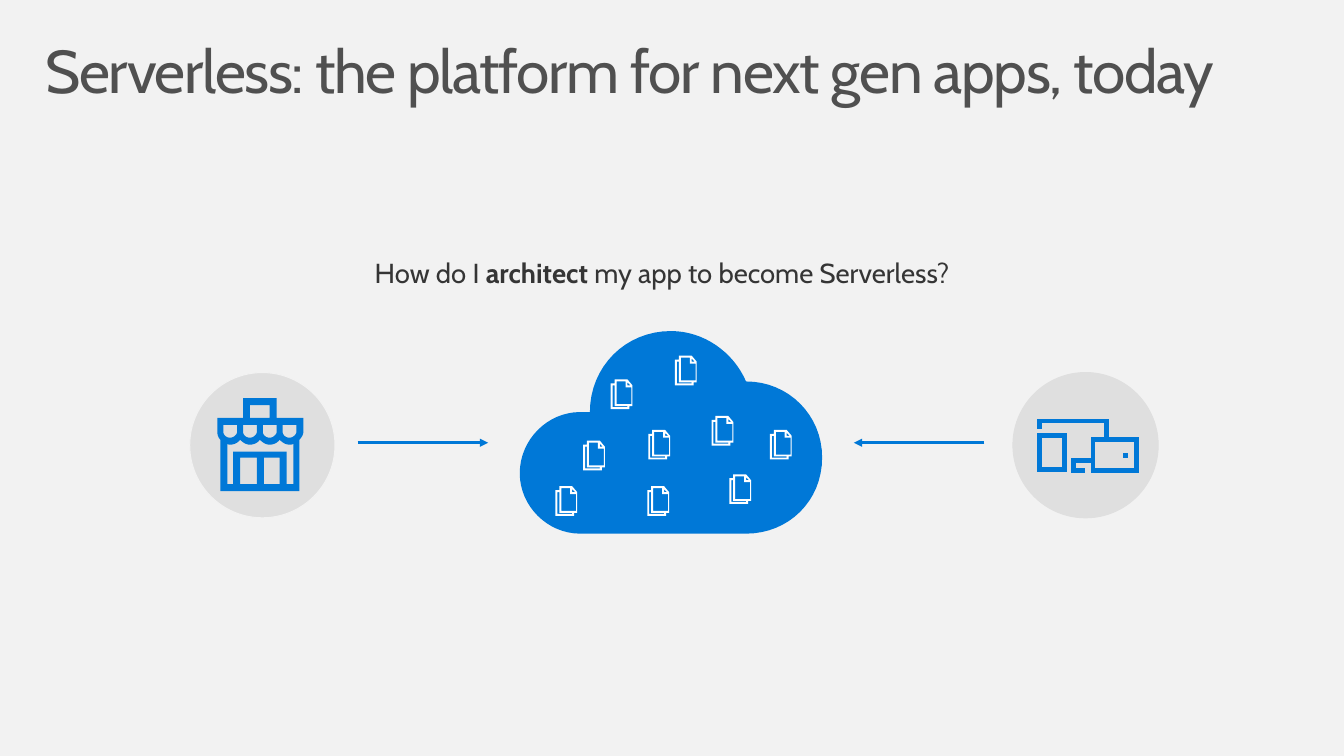
from lxml import etree
from pptx import Presentation
from pptx import util as u
from pptx.dml.color import RGBColor
from pptx.enum import shapes, text
from pptx.oxml.ns import qn

BLUE, WHITE, PAPER, DISC = "0078D7", "FFFFFF", "F2F2F2", "DFDFDF"
FONT = "Cabin"
TITLE = "Serverless: the platform for next gen apps, today"
QUESTION = [("How do I ", False), ("architect", True), (" my app to become Serverless?", False)]

# Contours: a pair is a corner, six numbers are a cubic curve (two handles, end).
CLOUD = [[(5.97, 4.17), (5.97, 3.71, 6.33, 3.35, 6.79, 3.35), (7.12, 3.35, 7.42, 3.56, 7.55, 3.86),
          (7.98, 3.86, 8.32, 4.2, 8.32, 4.63), (8.32, 5.07, 7.98, 5.4, 7.55, 5.4), (5.87, 5.4),
          (5.54, 5.4, 5.26, 5.12, 5.26, 4.79), (5.26, 4.45, 5.54, 4.17, 5.87, 4.17)]]

DOCUMENT = [
    [(.22, .27), (.22, .06), (.17, 0), (.04, 0), (.04, .04), (0, .04), (0, .3), (.19, .3), (.19, .27)],
    [(.17, .03), (.2, .06), (.17, .06)],
    [(.17, .28), (.02, .28), (.02, .06), (.04, .06), (.04, .27), (.17, .27)],
    [(.06, .25), (.06, .02), (.15, .02), (.15, .08), (.21, .08), (.21, .25)],
]
DOCUMENT_SPOTS = [(6.18, 3.84), (6.83, 3.6), (5.9, 4.46), (6.56, 4.35), (7.2, 4.21),
                  (5.62, 4.92), (6.55, 4.92), (7.38, 4.8), (7.79, 4.35)]

SHOP_OUTLINE = [(2.23, 4.97), (3.03, 4.97), (3.03, 4.45), (3.05, 4.43, 3.07, 4.4, 3.07, 4.37),
                (3.07, 4.23), (2.8, 4.23), (2.8, 4.03), (2.46, 4.03), (2.46, 4.23), (2.2, 4.23),
                (2.2, 4.37), (2.2, 4.4, 2.21, 4.43, 2.23, 4.45)]
SHOP_WALL = [(2.9, 4.9), (2.9, 4.57), (2.36, 4.57), (2.36, 4.9), (2.3, 4.9), (2.3, 4.49),
             (2.31, 4.5, 2.32, 4.5, 2.33, 4.5), (2.37, 4.5, 2.41, 4.48, 2.43, 4.45),
             (2.46, 4.48, 2.49, 4.5, 2.53, 4.5), (2.57, 4.5, 2.61, 4.48, 2.63, 4.45),
             (2.66, 4.48, 2.69, 4.5, 2.73, 4.5), (2.77, 4.5, 2.81, 4.48, 2.83, 4.45),
             (2.86, 4.48, 2.89, 4.5, 2.93, 4.5), (2.94, 4.5, 2.96, 4.5, 2.97, 4.49), (2.97, 4.9)]
SHOP_PANES = [(2.43, 4.63, .17, .27), (2.67, 4.63, .16, .27), (2.53, 4.1, .2, .13)]
SCALLOP = [(0, 0), (.14, 0), (.14, .07), (.14, .1, .1, .13, .07, .13), (.03, .13, 0, .1, 0, .07)]

DISCS = [(1.92, 3.77, PAPER), (10.25, 3.77, DISC)]
SCREENS = [(10.52, 4.41, .25, .34), (11.06, 4.45, .44, .31)]
SCREEN_EDGES = [[(11.06, 4.66), (10.86, 4.66), (10.86, 4.76), (10.98, 4.76)],
                [(10.52, 4.34), (10.52, 4.26), (11.2, 4.26), (11.2, 4.45)]]
ARROWS = [(3.62, 4.94), (9.96, 8.64)]
ARROW_Y = 4.48


def color(value):
    return RGBColor.from_string(value)


def inches(values):
    return [u.Inches(value) for value in values]


def shifted(contour, left, top):
    return [tuple(value + (top if i % 2 else left) for i, value in enumerate(step))
            for step in contour]


def flattened(contour, steps=16):
    """Turn the curves of a contour into short straight segments, in EMU."""
    points = []
    for step in contour:
        if len(step) == 2:
            points.append(step)
            continue
        handles = [points[-1], step[:2], step[2:4], step[4:]]
        for n in range(1, steps + 1):
            t = n / steps
            weights = ((1 - t) ** 3, 3 * t * (1 - t) ** 2, 3 * t * t * (1 - t), t ** 3)
            points.append(tuple(sum(w * h[axis] for w, h in zip(weights, handles))
                                for axis in (0, 1)))
    return [tuple(inches(point)) for point in points]


def paint(shape, fill=None, line=None, width=1):
    shape.shadow.inherit = False
    if fill:
        shape.fill.solid()
        shape.fill.fore_color.rgb = color(fill)
    else:
        shape.fill.background()
    if line:
        stroke(shape, line, width)
    else:
        shape.line.fill.background()


def stroke(shape, line, width):
    shape.line.color.rgb = color(line)
    shape.line.width = u.Pt(width)
    etree.SubElement(shape.line._get_or_add_ln(), qn("a:miter"), lim="800000")


def add_outline(page, contours, closed=True, **look):
    builder = None
    for contour in contours:
        start, *rest = flattened(contour)
        if builder is None:
            builder = page.shapes.build_freeform(*start)
        else:
            builder.move_to(*start)
        builder.add_line_segments(rest, close=closed)
    paint(builder.convert_to_shape(), **look)


def add_preset(page, kind, bounds, **look):
    paint(page.shapes.add_shape(kind, *inches(bounds)), **look)


def add_line(page, ends, width, arrow=False):
    line = page.shapes.add_connector(shapes.MSO_CONNECTOR.STRAIGHT, *inches(ends))
    stroke(line, BLUE, width)
    if arrow:
        etree.SubElement(line.line._get_or_add_ln(), qn("a:tailEnd"), type="triangle")
    etree.SubElement(line._element.spPr, qn("a:effectLst"))


def add_span(para, words, size, ink, bold=False):
    span = para.add_run()
    span.text = words
    for name, value in {"name": FONT, "size": u.Pt(size), "bold": bold}.items():
        setattr(span.font, name, value)
    span.font.color.rgb = color(ink)
    return span


def add_title(page):
    title = page.shapes.title
    title.left, title.top, title.width, title.height = inches((.3, .32, 13, 1))
    frame = title.text_frame
    layout = {"margin_left": u.Inches(.16), "margin_right": u.Inches(.16),
              "margin_top": u.Inches(.1), "margin_bottom": u.Inches(.1), "word_wrap": True,
              "vertical_anchor": text.MSO_ANCHOR.TOP, "auto_size": text.MSO_AUTO_SIZE.NONE}
    for name, value in layout.items():
        setattr(frame, name, value)
    para = frame.paragraphs[0]
    para.alignment, para.line_spacing = text.PP_ALIGN.LEFT, .9
    span = add_span(para, TITLE, 44, "505050")
    span._r.get_or_add_rPr().set("spc", "-100")


def add_question(page):
    frame = page.shapes.add_textbox(*inches((3.33, 2.54, 6.74, .45))).text_frame
    frame.word_wrap = True
    para = frame.paragraphs[0]
    para.alignment = text.PP_ALIGN.CENTER
    for words, bold in QUESTION:
        add_span(para, words, 20, "353535", bold)


def add_shop(page):
    panes = [[(x, y), (x + w, y), (x + w, y + h), (x, y + h)] for x, y, w, h in SHOP_PANES]
    scallops = [shifted(SCALLOP, 2.26 + .2 * i, 4.3) for i in range(4)]
    add_outline(page, [SHOP_OUTLINE, SHOP_WALL, *panes, *scallops], fill=BLUE)


def add_devices(page):
    for bounds in SCREENS:
        add_preset(page, shapes.MSO_SHAPE.RECTANGLE, bounds, line=BLUE, width=3.5)
    add_line(page, (11.39, 4.63, 11.39, 4.58), 3.5)
    for edge in SCREEN_EDGES:
        add_outline(page, [edge], closed=False, line=BLUE, width=3.5)


def main():
    deck = Presentation()
    deck.slide_width, deck.slide_height = inches((13.6, 7.65))
    page = deck.slides.add_slide(deck.slide_layouts[5])
    page.background.fill.solid()
    page.background.fill.fore_color.rgb = color(PAPER)
    add_title(page)
    add_question(page)
    add_outline(page, CLOUD, fill=BLUE)
    for left, top, rim in DISCS:
        add_preset(page, shapes.MSO_SHAPE.OVAL, (left, top, 1.47, 1.47),
                   fill=DISC, line=rim, width=.75)
    add_shop(page)
    add_devices(page)
    for start, end in ARROWS:
        add_line(page, (start, ARROW_Y, end, ARROW_Y), 2, arrow=True)
    for spot in DOCUMENT_SPOTS:
        add_outline(page, [shifted(contour, *spot) for contour in DOCUMENT], fill=WHITE)
    deck.save("out.pptx")


if __name__ == "__main__":
    main()
